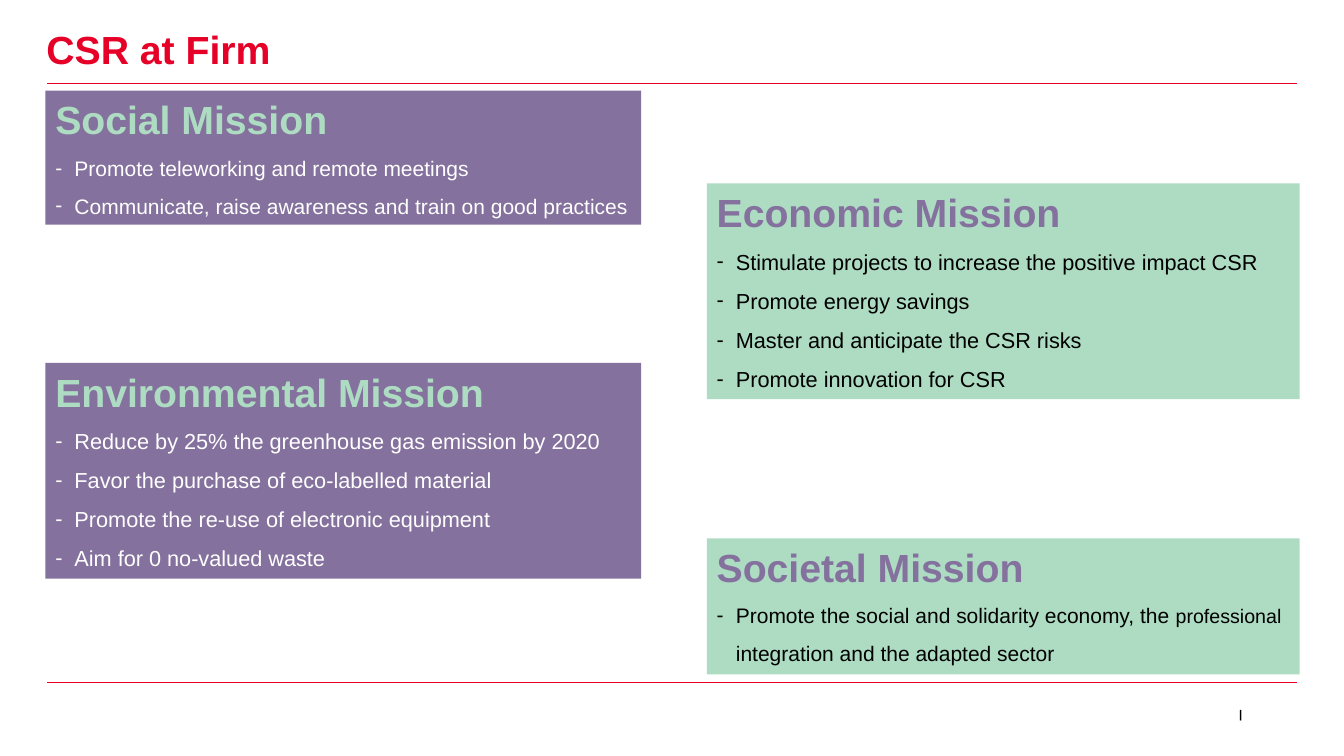
from lxml import etree
from pptx import Presentation
from pptx.dml.color import RGBColor
from pptx.enum import shapes, text
from pptx.oxml import ns
from pptx.util import Inches, Pt

COLORS = {"red": "E60028", "purple": "84719D", "green": "ADDCC3",
          "white": "FFFFFF", "black": "000000"}

TITLE = "CSR at Firm"
# Each bullet is a list of (text, size) runs
MISSIONS = [
    {"heading": "Social Mission", "column": "left", "top": 0.9, "height": 1.33,
     "bullets": [[("Promote teleworking and remote meetings", 15)],
                 [("Communicate, raise awareness and train on good practices", 15)]]},
    {"heading": "Environmental Mission", "column": "left", "top": 3.6, "height": 2.14,
     "bullets": [[("Reduce by 25% the greenhouse gas emission by 2020", 15.5)],
                 [("Favor the purchase of eco-labelled material", 15.5)],
                 [("Promote the re-use of electronic equipment", 15.5)],
                 [("Aim for 0 no-valued waste", 15.5)]]},
    {"heading": "Economic Mission", "column": "right", "top": 1.82, "height": 2.14,
     "bullets": [[("Stimulate projects to increase the positive impact CSR", 15.5)],
                 [("Promote energy savings", 15.5)],
                 [("Master and anticipate the CSR risks", 15.5)],
                 [("Promote innovation for CSR", 15.5)]]},
    {"heading": "Societal Mission", "column": "right", "top": 5.34, "height": 1.35,
     "bullets": [[("Promote the social and solidarity economy, the ", 15),
                  ("professional", 14),
                  (" integration and the adapted sector", 15)]]},
]
# Column: left, width, fill, heading colour, bullet colour
COLUMNS = {"left": (0.45, 5.91, "purple", "green", "white"),
           "right": (7.01, 5.88, "green", "purple", "black")}
RULE_LEFT, RULE_RIGHT = 0.47, 12.86
RULE_HEIGHTS = (0.83, 6.77)


def color(name):
    return RGBColor.from_string(COLORS[name])


def set_font(font, color_name, size=None, bold=False):
    font.name = "Arial"
    font.bold = bold
    font.color.rgb = color(color_name)
    if size:
        font.size = Pt(size)


def clear_margins(frame):
    frame.margin_left = frame.margin_right = 0
    frame.margin_top = frame.margin_bottom = 0


def add_rule(slide, y):
    rule = slide.shapes.add_connector(
        shapes.MSO_CONNECTOR.STRAIGHT,
        Inches(RULE_RIGHT), Inches(y), Inches(RULE_LEFT), Inches(y))
    rule.line.color.rgb = color("red")
    rule.line.width = Pt(0.5)
    etree.SubElement(rule._element.spPr, ns.qn("a:effectLst"))


def add_bullet(frame, runs, color_name):
    paragraph = frame.add_paragraph()
    paragraph.alignment = text.PP_ALIGN.LEFT
    paragraph.line_spacing = 1.5
    set_font(paragraph.font, color_name)
    for words, size in runs:
        run = paragraph.add_run()
        run.text = words
        set_font(run.font, color_name, size)
    properties = paragraph._p.get_or_add_pPr()
    properties.set("marL", str(Inches(0.19)))
    properties.set("indent", str(-Inches(0.19)))
    defaults = properties.find(ns.qn("a:defRPr"))
    defaults.addprevious(etree.Element(ns.qn("a:buFont"), typeface="Arial"))
    defaults.addprevious(etree.Element(ns.qn("a:buChar"), char="-"))


def add_mission(slide, mission):
    left, width, fill, heading_color, bullet_color = COLUMNS[mission["column"]]
    box = slide.shapes.add_shape(
        shapes.MSO_SHAPE.RECTANGLE, Inches(left), Inches(mission["top"]),
        Inches(width), Inches(mission["height"]))
    box.shadow.inherit = False
    box.fill.solid()
    box.fill.fore_color.rgb = color(fill)
    box.line.fill.background()

    frame = box.text_frame
    frame.word_wrap = True
    frame.auto_size = text.MSO_AUTO_SIZE.SHAPE_TO_FIT_TEXT
    frame.vertical_anchor = text.MSO_ANCHOR.TOP
    heading = frame.paragraphs[0]
    heading.text = mission["heading"]
    heading.alignment = text.PP_ALIGN.LEFT
    set_font(heading.font, heading_color, 28, bold=True)
    for runs in mission["bullets"]:
        add_bullet(frame, runs, bullet_color)


def main():
    presentation = Presentation()
    presentation.slide_width = Inches(13.33)
    presentation.slide_height = Inches(7.5)
    slide = presentation.slides.add_slide(presentation.slide_layouts[5])

    # Title
    title = slide.shapes.title
    title.left, title.top = Inches(0.46), Inches(0.24)
    title.width, title.height = Inches(11.42), Inches(0.55)
    title.text = TITLE
    frame = title.text_frame
    frame.vertical_anchor = text.MSO_ANCHOR.MIDDLE
    frame.auto_size = text.MSO_AUTO_SIZE.NONE
    clear_margins(frame)
    paragraph = frame.paragraphs[0]
    paragraph.alignment = text.PP_ALIGN.LEFT
    paragraph.line_spacing = 0.9
    set_font(paragraph.font, "red", 28, bold=True)

    # Rules above and below the content
    for y in RULE_HEIGHTS:
        add_rule(slide, y)

    # Footer mark
    mark = slide.shapes.add_textbox(
        Inches(12.29), Inches(7.02), Inches(0.1), Inches(0.48))
    clear_margins(mark.text_frame)
    mark.text_frame.word_wrap = False
    paragraph = mark.text_frame.paragraphs[0]
    paragraph.text = "|"
    set_font(paragraph.font, "black", 8, bold=True)

    # Mission boxes
    for mission in MISSIONS:
        add_mission(slide, mission)

    presentation.save("out.pptx")


if __name__ == "__main__":
    main()
